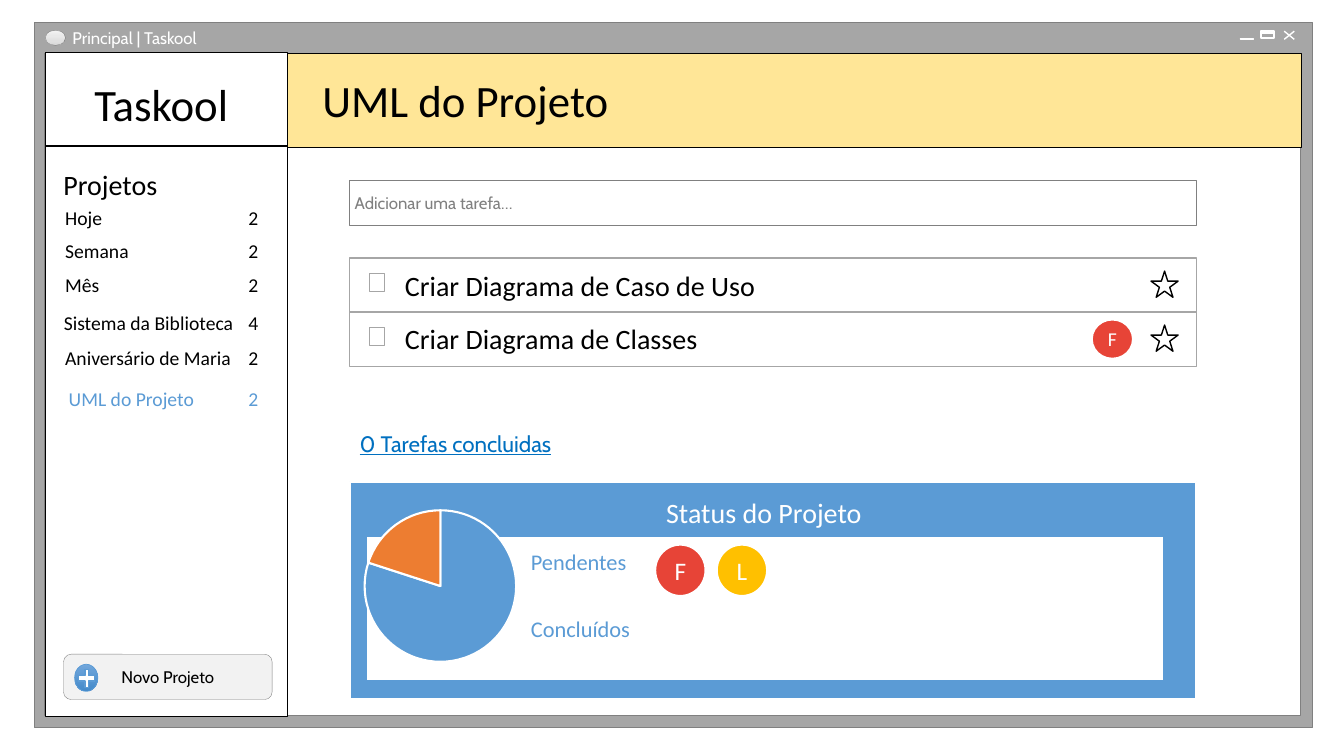
import dataclasses
import pptx
import pptx.chart.data
import pptx.dml.color
import pptx.enum.chart
import pptx.enum.shapes
import pptx.enum.text
import pptx.oxml
import pptx.oxml.ns
import pptx.util

Pt = pptx.util.Pt
Kind = pptx.enum.shapes.MSO_SHAPE
Align = pptx.enum.text.PP_ALIGN
Anchor = pptx.enum.text.MSO_ANCHOR
SPACE = pptx.oxml.ns.nsdecls("a", "c")


@dataclasses.dataclass(frozen=True)
class Theme:
    white: str = "FFFFFF"
    black: str = "000000"
    frame: str = "A6A6A6"
    gray: str = "808080"
    pale: str = "F2F2F2"
    shade: str = "D9D9D9"
    sand: str = "FFE697"
    blue: str = "5B9BD5"
    light: str = "71A6DB"
    deep: str = "448ACA"
    link: str = "0070C0"
    orange: str = "ED7D31"
    red: str = "E74437"
    gold: str = "FFC000"
    body: str = "Calibri"
    ui: str = "Cabin"
    tiny: int = 10
    label: int = 12
    item: int = 14
    note: int = 16
    badge: int = 18
    task: int = 20
    title: int = 32


T = Theme()


def tint(code):
    return pptx.dml.color.RGBColor.from_string(code)


def paint(fill, code):
    fill.solid()
    fill.fore_color.rgb = tint(code)


def stroke(line, code, width):
    paint(line.fill, code)
    line.width = Pt(width)


def shape(slide, kind, box, fill, edge, width):
    form = slide.shapes.add_shape(kind, *map(Pt, box))
    form.shadow.inherit = False
    if fill is None:
        form.fill.background()
    elif isinstance(fill, tuple):
        form.fill.gradient()
        form.fill.gradient_angle = 270
        for stop, code in zip(form.fill.gradient_stops, fill):
            stop.color.rgb = tint(code)
    else:
        paint(form.fill, fill)
    stroke(form.line, edge, width)
    return form


def write(form, text, size, code, face=T.body, align=Align.LEFT,
          anchor=Anchor.TOP, pad=(7.2, 3.6), wrap=True):
    frame = form.text_frame
    frame.word_wrap = wrap
    frame.vertical_anchor = anchor
    frame.margin_left = frame.margin_right = Pt(pad[0])
    frame.margin_top = frame.margin_bottom = Pt(pad[1])
    para = frame.paragraphs[0]
    para.alignment = align
    run = para.add_run()
    run.text = text
    run.font.size = Pt(size)
    run.font.name = face
    run.font.color.rgb = tint(code)
    return para


def label(slide, box, text, size, code, **style):
    return write(slide.shapes.add_textbox(*map(Pt, box)), text, size, code, **style)


def cross(slide, left, top, wide, high):
    right, base = left + wide, top + high
    for start, end in ((top, base), (base, top)):
        line = slide.shapes.add_connector(
            pptx.enum.shapes.MSO_CONNECTOR.STRAIGHT,
            Pt(left), Pt(start), Pt(right), Pt(end))
        stroke(line.line, T.white, 1)
        line._element.spPr.append(pptx.oxml.parse_xml(f"<a:effectLst {SPACE}/>"))


def badge(slide, box, text, size, code):
    form = shape(slide, Kind.OVAL, box, code, T.white, 1.5)
    write(form, text, size, T.white, align=Align.CENTER, anchor=Anchor.MIDDLE, pad=(0, 0))


def window(slide):
    shape(slide, Kind.RECTANGLE, (24.5, 15.8, 913, 504), T.frame, T.gray, 0.25)
    shape(slide, Kind.RECTANGLE, (31.7, 38.2, 897.1, 473), T.white, T.gray, 0.25)
    label(slide, (48.2, 18, 105, 18), "Principal | Taskool", T.label, T.white,
          face=T.ui, anchor=Anchor.MIDDLE, pad=(3.6, 1.8), wrap=False)
    cross(slide, 917.3, 22.3, 7.2, 5.8)
    shape(slide, Kind.RECTANGLE, (900.7, 22.3, 9.4, 5), None, T.white, 1)
    for left, top in ((900.7, 23), (885.6, 27.4)):
        shape(slide, Kind.RECTANGLE, (left, top, 9.4, 0.7), T.white, T.white, 0.25)
    shape(slide, Kind.OVAL, (32.4, 21.6, 14.4, 10.8), (T.pale, T.shade), T.gray, 0.25)


def entry(slide, left, top, name, count, code):
    para = label(slide, (left, top, 160, 24.5), f"{name}\t{count}", T.item, code)
    stop = Pt(177.5 - left - 7.2)
    para._p.get_or_add_pPr().append(pptx.oxml.parse_xml(
        f'<a:tabLst {SPACE}><a:tab pos="{stop}" algn="l"/></a:tabLst>'))


def menu(slide):
    for top, high in ((38.9, 473), (37.4, 67)):
        shape(slide, Kind.RECTANGLE, (32.4, top, 172.8, high), T.white, T.black, 1)
    label(slide, (28.8, 51.1, 172.8, 46), "Taskool", T.title, T.black, align=Align.CENTER)
    label(slide, (24.5, 115.9, 108.7, 31.7), "Projetos", T.task, T.black, align=Align.CENTER)
    for left, top, name, count, code in (
            (39.5, 143.3, "Hoje", 2, T.black),
            (39.5, 167, "Semana", 2, T.black),
            (39.5, 191.5, "Mês", 2, T.black),
            (38.5, 218.9, "Sistema da Biblioteca", 4, T.black),
            (39.5, 243.4, "Aniversário de Maria", 2, T.black),
            (42, 272.9, "UML do Projeto", 2, T.blue)):
        entry(slide, left, top, name, count, code)
    button = shape(slide, Kind.ROUNDED_RECTANGLE, (45.4, 467.3, 149, 32.4),
                   T.pale, T.gray, 0.25)
    write(button, "Novo Projeto", T.label, T.black, face=T.ui,
          align=Align.CENTER, anchor=Anchor.MIDDLE, pad=(7.2, 0))
    shape(slide, Kind.OVAL, (53.3, 474.5, 16.6, 19.4), (T.light, T.deep), T.blue, 0.5)
    plus = shape(slide, Kind.CROSS, (56.2, 478.1, 11.5, 13), T.white, T.blue, 1)
    plus.adjustments[0] = 0.4


def tasks(slide):
    banner = (205.2, 38.2, 724.3, 67)
    shape(slide, Kind.RECTANGLE, banner, T.sand, T.black, 0.25)
    label(slide, (223.2, 48.2, 321.8, 46), "UML do Projeto", T.title, T.black)
    field = shape(slide, Kind.RECTANGLE, (249.8, 128.9, 604.8, 31.7), T.white, T.gray, 0.25)
    write(field, "Adicionar uma tarefa…", T.label, T.gray, face=T.ui,
          anchor=Anchor.MIDDLE, pad=(3.6, 1.4), wrap=False)
    for row, name in enumerate(("Criar Diagrama de Caso de Uso", "Criar Diagrama de Classes")):
        top = 184.3 + 38.5 * row
        shape(slide, Kind.RECTANGLE, (249.8, top, 604.8, 38.9), T.white, T.frame, 1)
        shape(slide, Kind.RECTANGLE, (263.5, top + 10.8, 10.8, 13), T.white, T.frame, 0.25)
        label(slide, (282.2, top + 3.6, 462, 31.7), name, T.task, T.black)
        shape(slide, Kind.STAR_5_POINT, (822.2, top + 9.4, 19.4, 18.7), T.white, T.black, 1)
    badge(slide, (779.8, 228.2, 29.5, 28.1), "F", T.item, T.red)
    done = label(slide, (249.8, 304.6, 155.5, 24.5), "0 Tarefas concluidas", T.note, T.link,
                 face=T.ui, anchor=Anchor.MIDDLE, pad=(7.2, 2.5), wrap=False)
    done.runs[0].font.underline = True


def pie(slide, box):
    data = pptx.chart.data.CategoryChartData()
    data.categories = ["1", "2"]
    data.add_series("Series 1", (80, 20))
    chart = slide.shapes.add_chart(
        pptx.enum.chart.XL_CHART_TYPE.PIE, *map(Pt, box), data).chart
    chart.has_legend = False
    chart.has_title = False
    chart.font.size = Pt(T.tiny)
    chart.font.name = T.body
    chart.font.color.rgb = tint(T.black)
    plot = chart.plots[0]
    plot.vary_by_categories = True
    for index, code in enumerate((T.blue, T.orange)):
        slice_ = plot.series[0].points[index].format
        paint(slice_.fill, code)
        stroke(slice_.line, T.white, 1.5)
    area = chart._chartSpace.chart.plotArea
    for old in area.findall(pptx.oxml.ns.qn("c:layout")):
        area.remove(old)
    area.insert(0, pptx.oxml.parse_xml(
        f'<c:layout {SPACE}><c:manualLayout><c:layoutTarget val="inner"/>'
        '<c:xMode val="edge"/><c:yMode val="edge"/><c:x val="0.08"/><c:y val="0.08"/>'
        '<c:w val="0.84"/><c:h val="0.84"/></c:manualLayout></c:layout>'))


def status(slide):
    shape(slide, Kind.RECTANGLE, (249.8, 344.2, 604.8, 155.5), T.blue, T.white, 1.5)
    shape(slide, Kind.RECTANGLE, (261.4, 383, 570.2, 103), T.white, T.blue, 1)
    label(slide, (468.7, 350.6, 155.5, 31.7), "Status do Projeto", T.task, T.white)
    pie(slide, (249.8, 354.2, 129.6, 128.9))
    for top, name in ((388.1, "Pendentes"), (435.6, "Concluídos")):
        label(slide, (372.2, top, 96.5, 26.6), name, T.note, T.blue)
    for left, text, code in ((468, "F", T.red), (512, "L", T.gold)):
        badge(slide, (left, 389, 36, 36.7), text, T.badge, code)


def main():
    deck = pptx.Presentation()
    deck.slide_width, deck.slide_height = Pt(960), Pt(540)
    slide = deck.slides.add_slide(deck.slide_layouts[6])
    for part in (window, menu, tasks, status):
        part(slide)
    deck.save("out.pptx")


if __name__ == "__main__":
    main()
